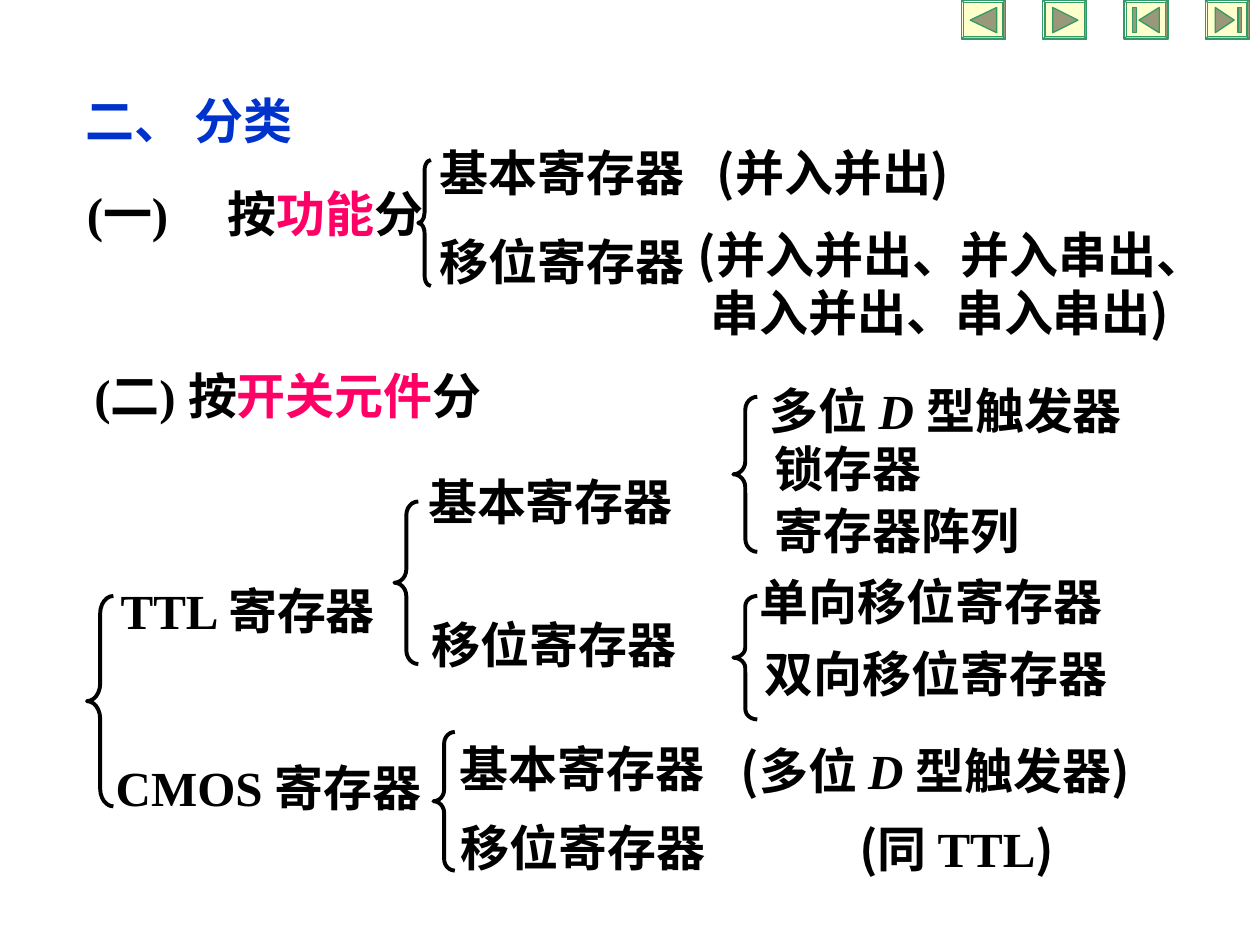
from pptx import Presentation, util as u
from pptx.dml.color import RGBColor
from pptx.enum import shapes, text
from pptx.oxml import ns, xmlchemy
from lxml import etree

Inches, Pt = u.Inches, u.Pt
COLORS = {"ink": "000000", "title": "0033CC", "accent": "FF0066",
          "button": "FFFFCC", "edge": "339966", "icon": "99997A"}
LATIN, CJK = "Times New Roman", "Noto Sans CJK SC"
PLAIN = {"name": LATIN, "size": Pt(28), "bold": True, "italic": False}
STYLES = {"plain": {}, "title": {}, "accent": {}, "italic": {"italic": True}, "paren": {"name": CJK}}

deck = Presentation()
deck.slide_width, deck.slide_height = Inches(10), Inches(7.5)
page = deck.slides.add_slide(deck.slide_layouts[5])


def write(box, left, top, width, lines, wrap=True):
    """Place a text box and fill it; each line is a list of (wording, style)."""
    height = 0.1 + 0.47 * len(lines)
    box.left, box.top, box.width, box.height = map(Inches, (left, top, width, height))
    frame = box.text_frame
    frame.word_wrap = wrap
    frame.auto_size = text.MSO_AUTO_SIZE.NONE
    frame.vertical_anchor = text.MSO_ANCHOR.TOP
    for number, line in enumerate(lines):
        para = frame.add_paragraph() if number else frame.paragraphs[0]
        para.alignment = text.PP_ALIGN.LEFT
        for wording, style in line:
            span = para.add_run()
            span.text = wording
            for key, value in {**PLAIN, **STYLES[style]}.items():
                setattr(span.font, key, value)
            span.font.color.rgb = RGBColor.from_string(COLORS.get(style, COLORS["ink"]))
            etree.SubElement(span.font._element, ns.qn("a:ea")).set("typeface", CJK)
    return frame


def paint(shape, fill, line, weight):
    """Give a shape its fill and outline, without shadow."""
    shape.shadow.inherit = False
    if fill:
        shape.fill.solid()
        shape.fill.fore_color.rgb = RGBColor.from_string(COLORS[fill])
    else:
        shape.fill.background()
    shape.line.color.rgb = RGBColor.from_string(COLORS[line])
    shape.line.width = Pt(weight)


# Title
write(page.shapes.title, 0.58, 0.67, 2.81, [[("二、 分类", "title")]])

# Labels: left, top, width, lines, wrap
BASIC, SHIFT = [[("基本寄存器", "plain")]], [[("移位寄存器", "plain")]]
OPEN, CLOSE = ("(", "paren"), (")", "paren")
D_TYPE = [("多位 ", "plain"), ("D ", "italic"), ("型触发器", "plain")]
LABELS = [
    (3.39, 1.08, 2.14, BASIC, False),
    (3.39, 1.79, 2.14, SHIFT, False),
    (5.59, 1.08, 2.5, [[OPEN, ("并入并出", "plain"), CLOSE]], True),
    (0.65, 2.85, 4.18, [[("(二) 按", "plain"), ("开关元件", "accent"), ("分", "plain")]], True),
    (0.86, 4.56, 2.33, [[("TTL 寄存器", "plain")]], False),
    (0.82, 5.96, 2.72, [[("CMOS 寄存器", "plain")]], False),
    (3.3, 3.69, 2.14, BASIC, False),
    (3.33, 4.83, 2.14, SHIFT, False),
    (6.01, 2.97, 3.29, [D_TYPE], True),
    (6.05, 3.43, 1.75, [[("锁存器", "plain")]], True),
    (6.05, 3.92, 2.51, [[("寄存器阵列", "plain")]], True),
    (5.93, 4.49, 3.19, [[("单向移位寄存器", "plain")]], True),
    (5.97, 5.06, 3.21, [[("双向移位寄存器", "plain")]], True),
    (3.55, 5.81, 2.14, BASIC, False),
    (3.56, 6.44, 3.7, SHIFT, True),
    (5.78, 5.83, 3.71, [[OPEN, *D_TYPE, CLOSE]], True),
    (6.72, 6.45, 2.27, [[OPEN, ("同 TTL", "plain"), CLOSE]], True),
]
for left, top, width, lines, wrap in LABELS:
    write(page.shapes.add_textbox(0, 0, 0, 0), left, top, width, lines, wrap)

# First heading, with a tab stop after its number
heading = write(page.shapes.add_textbox(0, 0, 0, 0), 0.59, 1.41, 3.19,
                [[("(一)\t按", "plain"), ("功能", "accent"), ("分", "plain")]])
tabs = etree.SubElement(heading.paragraphs[0]._p.get_or_add_pPr(), ns.qn("a:tabLst"))
etree.SubElement(tabs, ns.qn("a:tab"), pos=str(Inches(1.12)), algn="l")

# Kinds of shift register, second line slightly indented
kinds = write(page.shapes.add_textbox(0, 0, 0, 0), 5.44, 1.73, 4.32,
              [[OPEN, ("并入并出、并入串出、", "plain")], [("串入并出、串入串出", "plain"), CLOSE]], False)
kinds.paragraphs[1]._p.get_or_add_pPr().set("marL", str(Inches(0.1)))

# Braces: left, top, width, height
BRACES = [(3.32, 1.27, 0.1, 1), (0.69, 4.73, 0.21, 1.67), (3.13, 3.98, 0.19, 1.29),
          (5.82, 3.15, 0.19, 1.23), (5.82, 4.73, 0.19, 0.98), (3.44, 5.81, 0.17, 1.1)]
for left, top, width, height in BRACES:
    brace = page.shapes.add_shape(shapes.MSO_SHAPE.LEFT_BRACE, *map(Inches, (left, top, width, height)))
    brace.adjustments[0] = height / width / 12
    paint(brace, None, "ink", 2.25)

# Navigation buttons: triangle base and tip, then the left edge of an end bar
BUTTONS = [(0.28, 0.07, None), (0.08, 0.28, None), (0.28, 0.12, 0.07), (0.08, 0.23, 0.26)]
for number, (base, tip, bar) in enumerate(BUTTONS):
    left = 7.63 + 0.645 * number
    button = page.shapes.add_shape(shapes.MSO_SHAPE.BEVEL, Inches(left), 0, Inches(0.35), Inches(0.31))
    button.adjustments[0] = 0.06
    paint(button, "button", "edge", 0.75)
    outlines = [[(base, 0.06), (tip, 0.16), (base, 0.26)]]
    if bar:
        outlines.append([(bar, 0.06), (bar + 0.03, 0.06), (bar + 0.03, 0.26), (bar, 0.26)])
    for outline in outlines:
        points = [(Inches(left + x), Inches(y)) for x, y in outline]
        builder = page.shapes.build_freeform(*points[0])
        builder.add_line_segments(points[1:])
        paint(builder.convert_to_shape(), "icon", "edge", 0.75)

deck.save("out.pptx")
